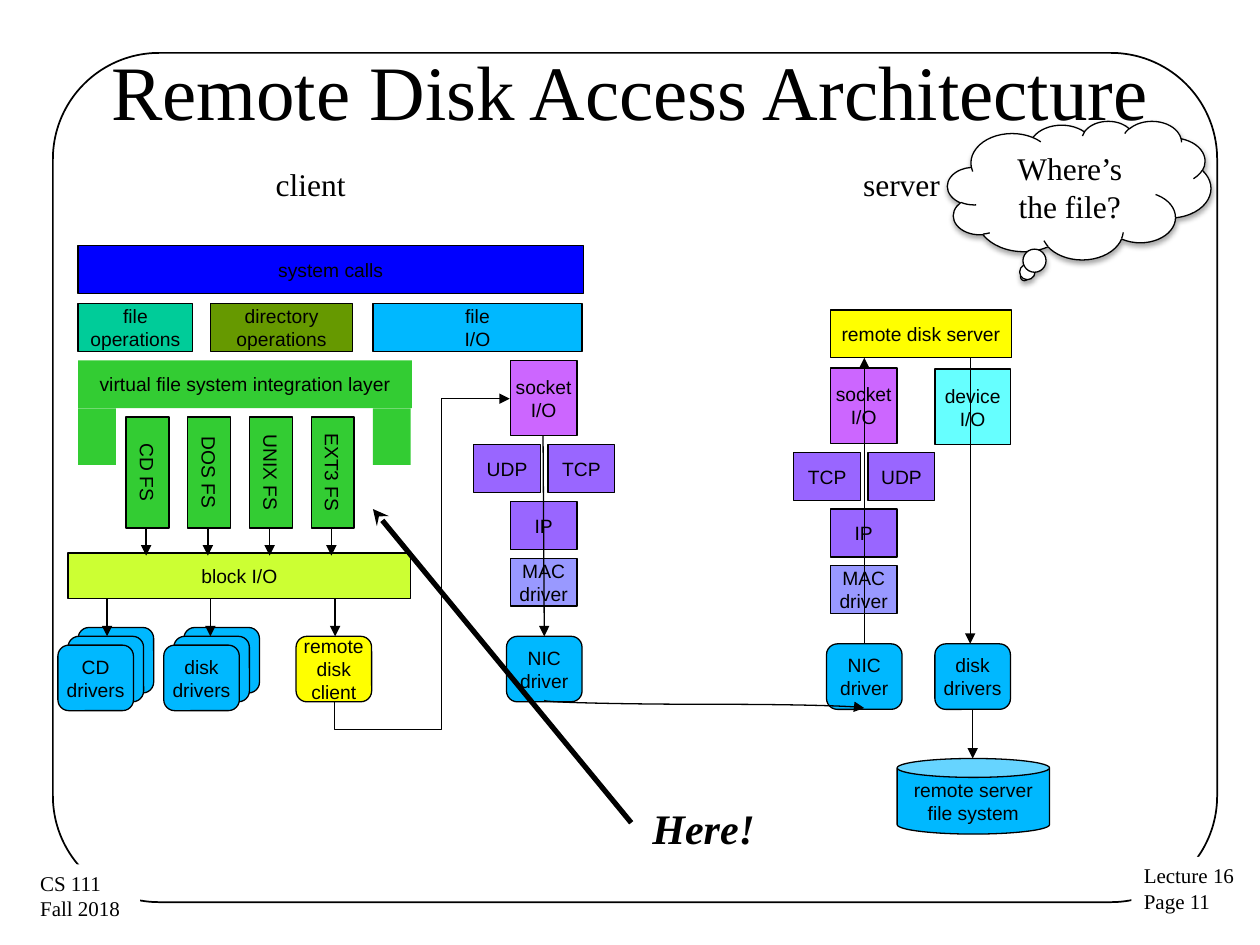
from lxml.etree import SubElement
from pptx import Presentation
from pptx.dml.color import RGBColor
from pptx.enum.shapes import MSO_CONNECTOR as Link, MSO_SHAPE as Form
from pptx.enum.text import MSO_ANCHOR as Anchor, MSO_AUTO_SIZE as Fit, PP_ALIGN as Align
from pptx.oxml.ns import qn
from pptx.util import Inches, Pt

COLORS = {
    "black": "000000", "white": "FFFFFF", "blue": "0000FF", "sky": "00B8FF",
    "green": "33CC33", "lime": "CCFF33", "teal": "00CC99", "olive": "669900",
    "yellow": "FFFF00", "orchid": "CC66FF", "purple": "9966FF",
    "lavender": "9999FF", "aqua": "66FFFF",
}
SERIF = "Times New Roman"


def color(name):
    return RGBColor.from_string(COLORS[name])


def write(frame, text, size=11, font="Arial", align=Align.CENTER, anchor=Anchor.MIDDLE,
          wrap=False, bold=False, italic=False, side=0.09):
    frame.word_wrap = wrap
    frame.auto_size = Fit.NONE
    frame.vertical_anchor = anchor
    frame.margin_left = frame.margin_right = Inches(side)
    frame.margin_top = frame.margin_bottom = Inches(0.05)
    for index, line in enumerate(text.split("\n")):
        para = frame.add_paragraph() if index else frame.paragraphs[0]
        para.alignment = align
        span = para.add_run()
        span.text = line
        span.font.size = Pt(size)
        span.font.name = font
        span.font.bold = bold
        span.font.italic = italic
        span.font.color.rgb = color("black")


def add_box(page, left, top, width, height, fill=None, text="", form=Form.RECTANGLE,
            line=0.75, turn=0, **style):
    box = page.shapes.add_shape(form, Inches(left), Inches(top), Inches(width), Inches(height))
    box.shadow.inherit = False
    box.rotation = turn
    if fill:
        box.fill.solid()
        box.fill.fore_color.rgb = color(fill)
    else:
        box.fill.background()
    if line:
        box.line.color.rgb = color("black")
        box.line.width = Pt(line)
    else:
        box.line.fill.background()
    if text:
        write(box.text_frame, text, **style)
    return box


def add_label(page, left, top, width, height, text, **style):
    box = page.shapes.add_textbox(Inches(left), Inches(top), Inches(width), Inches(height))
    write(box.text_frame, text, font=SERIF, anchor=Anchor.TOP, **style)


def add_arrow(page, start, end, width=0.75, head="triangle", kind=Link.STRAIGHT,
              preset=None, turn=0, bends=()):
    arrow = page.shapes.add_connector(kind, *map(Inches, start + end))
    arrow.line.color.rgb = color("black")
    arrow.line.width = Pt(width)
    SubElement(arrow.line._get_or_add_ln(), qn("a:tailEnd"), type=head)
    properties = arrow._element.spPr
    SubElement(properties, qn("a:effectLst"))
    if preset:
        properties.find(qn("a:xfrm")).set("rot", str(turn * 60000))
        geometry = properties.find(qn("a:prstGeom"))
        geometry.set("prst", preset)
        guides = geometry.find(qn("a:avLst"))
        for number, bend in enumerate(bends, 1):
            name = "adj" if len(bends) == 1 else f"adj{number}"
            SubElement(guides, qn("a:gd"), name=name, fmla=f"val {round(bend * 100000)}")


def add_module(page, left, top, text, fill="sky"):
    add_box(page, left, top, 0.6, 0.52, fill, text, Form.ROUNDED_RECTANGLE)


def add_driver_pile(page, left, text):
    for step, label in ((2, ""), (1, ""), (0, text)):
        add_module(page, left + 0.08 * step, 5.12 - 0.07 * step, label)


def add_protocol_stack(page, left, top, pair):
    add_box(page, left, top, 0.53, 0.6, "orchid", "socket\nI/O")
    for shift, name in zip((-0.29, 0.3), pair):
        add_box(page, left + shift, top + 0.67, 0.53, 0.38, "purple", name)
    add_box(page, left, top + 1.12, 0.53, 0.38, "purple", "IP")
    add_box(page, left, top + 1.57, 0.53, 0.38, "lavender", "MAC\ndriver")
    add_module(page, left - 0.03, top + 2.19, "NIC\ndriver")


def add_frame(page):
    frame = add_box(page, 0.42, 0.42, 9.24, 6.74, form=Form.ROUNDED_RECTANGLE, line=1)
    frame.adjustments[0] = 0.125
    for left, top, width, text in ((8.98, 6.8, 0.93, "Lecture 16\nPage 11"),
                                   (0.22, 6.86, 0.89, "CS 111\nFall 2018")):
        add_box(page, left, top, width, 0.51, "white", text, line=0, size=12, font=SERIF,
                align=Align.LEFT, anchor=Anchor.TOP, side=0.1)


def add_title(page, text):
    title = page.shapes.title
    title.left, title.top, title.width, title.height = map(Inches, (0.39, 0.3, 9.22, 0.83))
    write(title.text_frame, text, size=44, font=SERIF, wrap=True)


def add_client(page):
    add_box(page, 0.62, 1.95, 4.01, 0.38, "blue", "system calls")
    for left, width, fill, text in ((0.62, 0.91, "teal", "file\noperations"),
                                    (1.67, 1.13, "olive", "directory\noperations"),
                                    (2.96, 1.66, "sky", "file\nI/O")):
        add_box(page, left, 2.41, width, 0.38, fill, text)
    add_box(page, 0.62, 2.86, 2.65, 0.38, "green", "virtual file system integration layer", line=0)
    for left in (0.62, 2.96):
        add_box(page, left, 3.24, 0.3, 0.45, "green", line=0)
    add_box(page, 0.54, 4.39, 2.72, 0.36, "lime", "block I/O")
    for column, name in enumerate(("CD FS", "DOS FS", "UNIX FS", "EXT3 FS")):
        left = 0.73 + 0.49 * column
        add_box(page, left, 3.58, 0.88, 0.34, "green", name, turn=90)
        center = left + 0.43
        add_arrow(page, (center, 4.19), (center, 4.41))
    add_driver_pile(page, 0.46, "CD\ndrivers")
    add_driver_pile(page, 1.3, "disk\ndrivers")
    add_module(page, 2.35, 5.05, "remote\ndisk\nclient", "yellow")
    for center in (0.85, 1.67, 2.66):
        add_arrow(page, (center, 4.75), (center, 5.05))
    add_protocol_stack(page, 4.05, 2.86, ("UDP", "TCP"))
    add_arrow(page, (4.31, 3.46), (4.32, 5.05))
    add_arrow(page, (4.55, 5.06), (2.15, 3.67), kind=Link.ELBOW,
              preset="bentConnector4", turn=90, bends=(-0.094, 0.609))


def add_server(page):
    add_box(page, 6.59, 2.46, 1.44, 0.38, "yellow", "remote disk server")
    add_protocol_stack(page, 6.59, 2.92, ("TCP", "UDP"))
    add_box(page, 7.42, 2.93, 0.6, 0.6, "aqua", "device\nI/O")
    add_module(page, 7.42, 5.11, "disk\ndrivers")
    add_box(page, 7.12, 6.02, 1.21, 0.6, "sky", "remote server\nfile system", Form.CAN)
    add_arrow(page, (6.86, 5.11), (6.86, 2.84))
    add_arrow(page, (7.7, 2.84), (7.7, 5.11))
    add_arrow(page, (7.72, 5.63), (7.72, 6.02))


def add_question(page):
    cloud = add_box(page, 7.52, 0.96, 2.09, 1.1, "white", "Where’s the file?",
                    Form.CLOUD_CALLOUT, size=18, font=SERIF, wrap=True, side=0.1)
    effects = cloud._element.spPr.find(qn("a:effectLst"))
    shadow = SubElement(effects, qn("a:outerShdw"), blurRad=str(Pt(3.1)), dist=str(Pt(1.8)),
                        dir="5400000", rotWithShape="0")
    tint = SubElement(shadow, qn("a:srgbClr"), val=COLORS["black"])
    SubElement(tint, qn("a:alpha"), val="35000")


def main():
    deck = Presentation()
    deck.slide_width, deck.slide_height = Inches(10), Inches(7.5)
    page = deck.slides.add_slide(deck.slide_layouts[5])
    add_frame(page)
    title = page.shapes.title._element
    title.getparent().append(title)
    add_title(page, "Remote Disk Access Architecture")
    for left, text in ((1.52, "client"), (6.21, "server")):
        add_label(page, left, 1.26, 1.89, 0.39, text, size=18, wrap=True)
    add_client(page)
    add_server(page)
    add_arrow(page, (5.62, 4.32), (5.56, 6.86), kind=Link.CURVE,
              preset="curvedConnector3", turn=270, bends=(10.892,))
    add_question(page)
    add_arrow(page, (5.01, 6.53), (2.96, 4.04), width=3, head="stealth")
    add_label(page, 5.08, 6.32, 1.02, 0.5, "Here!", size=24, bold=True, italic=True,
              align=Align.LEFT, side=0.1)
    deck.save("out.pptx")


main()
